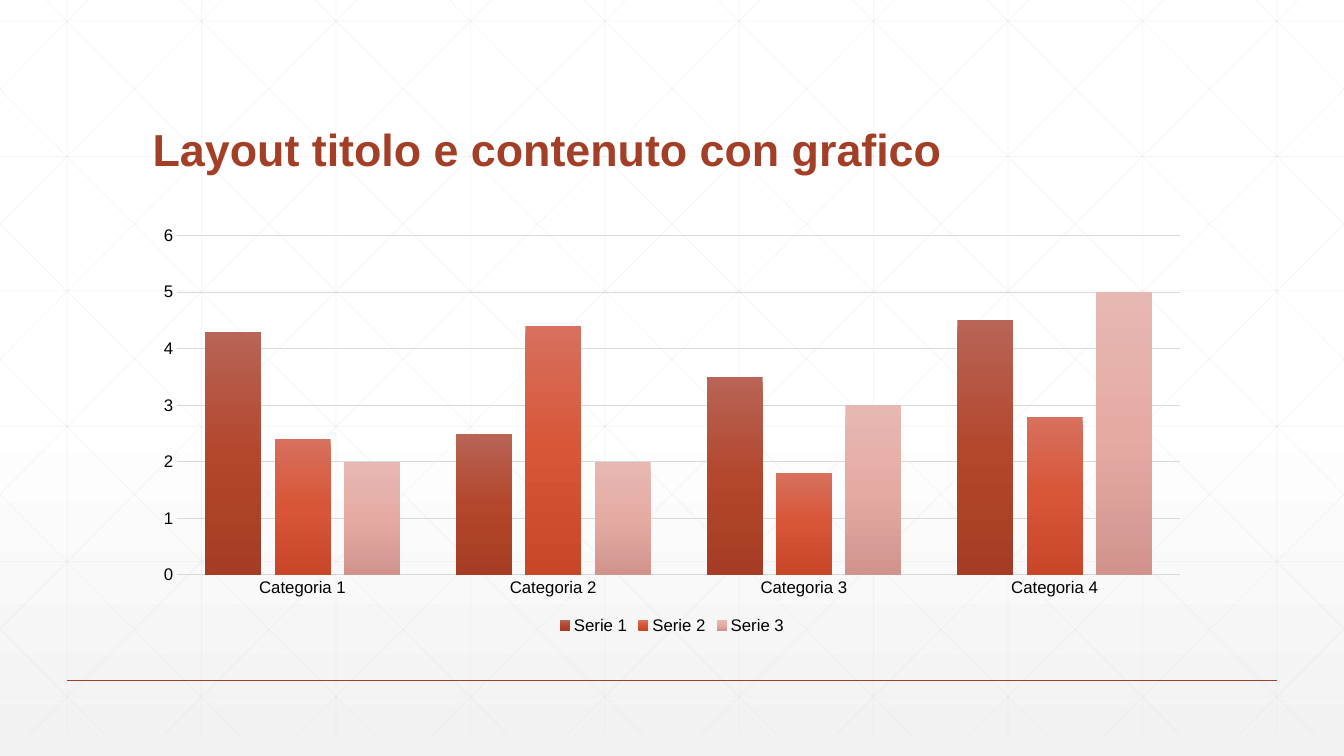
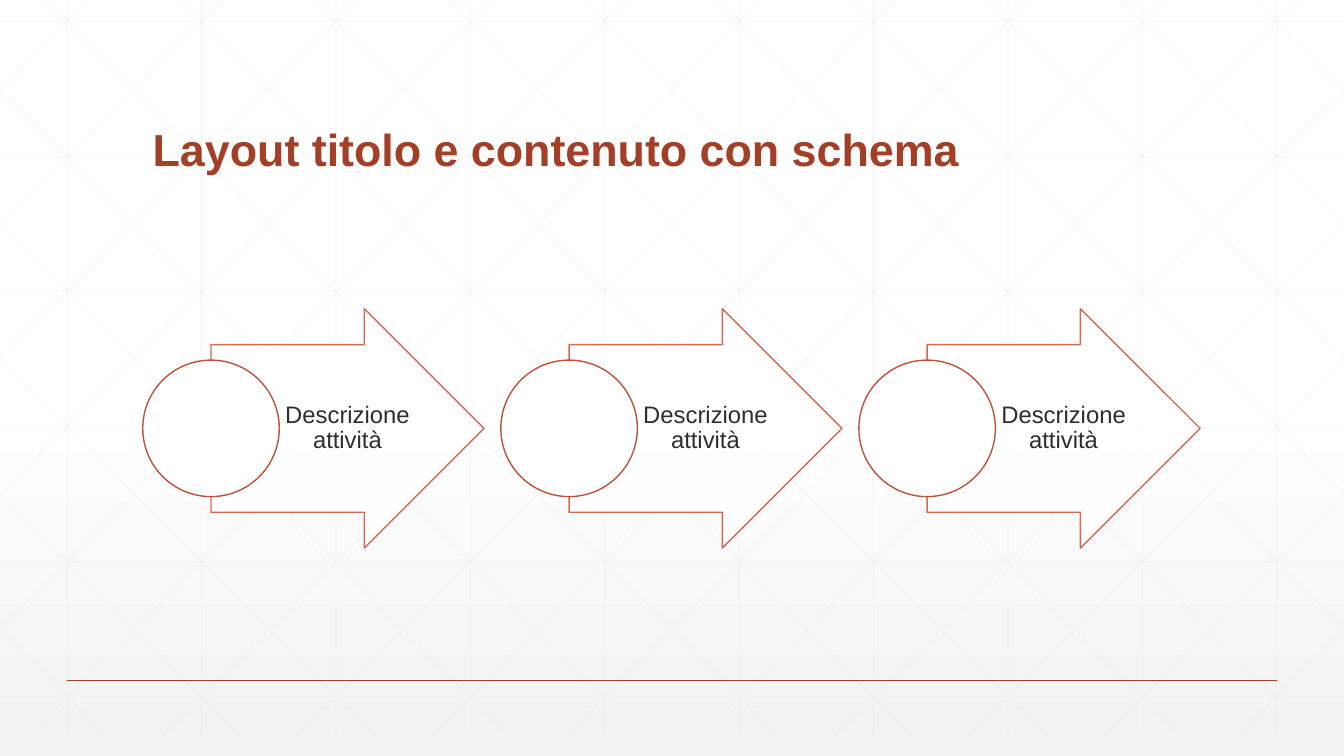
from copy import deepcopy

from pptx import Presentation
from pptx.chart.data import CategoryChartData
from pptx.dml.color import RGBColor
from pptx.enum.chart import XL_CHART_TYPE as ChartType
from pptx.enum.chart import XL_LEGEND_POSITION as LegendPosition
from pptx.enum.chart import XL_TICK_MARK as TickMark
from pptx.enum.shapes import MSO_CONNECTOR as Connector
from pptx.enum.shapes import MSO_SHAPE as Shape
from pptx.enum.text import MSO_ANCHOR as Anchor
from pptx.enum.text import PP_ALIGN as Align
from pptx.oxml.ns import qn
from pptx.util import Pt

EMU_PER_PX = 9525
WIDTH, HEIGHT = 1280, 720


def px(*lengths):
    return [length * EMU_PER_PX for length in lengths]


def paint(color_format, color):
    color_format.rgb = RGBColor.from_string(color)


class SlideBuilder:
    FONT = "Arial"
    ACCENT = "A43F27"
    INK = "2D2E2D"
    WHITE = "FFFFFF"
    BLACK = "000000"
    RULE = "D9D9D9"
    ARROW_LINE = "D15A3E"
    CIRCLE_LINE = "BE5238"
    GRID_STEP, GRID_TOP, GRID_BOTTOM = 128, -20, 700
    DIAGONAL_START, DIAGONAL_RUN = 24, 716

    def __init__(self):
        self.deck = Presentation()
        self.deck.slide_width, self.deck.slide_height = px(WIDTH, HEIGHT)
        self.slide = None
        master = self.deck.slide_master
        self.gradient(master.background.fill, master.element,
                      [(0, self.WHITE), (0.53, self.WHITE), (1, "F2F2F2")])

    def gradient(self, fill, owner, stops):
        fill.gradient()
        fill.gradient_angle = 270
        stop_list = list(owner.iter(qn("a:gsLst")))[-1]
        stop_list.append(deepcopy(stop_list[-1]))
        for stop, (position, color) in zip(fill.gradient_stops, stops):
            stop.position = position
            paint(stop.color, color)

    def opacity(self, shape, percent):
        for color in shape.element.spPr.iter(qn("a:srgbClr")):
            alpha = color.makeelement(qn("a:alpha"), {"val": str(percent * 1000)})
            color.append(alpha)

    def outline(self, line, color, width=1.0):
        paint(line.color, color)
        line.width = Pt(width)

    def style_font(self, font, size, color, bold=False):
        font.name = self.FONT
        font.size = Pt(size)
        font.bold = bold
        paint(font.color, color)

    def line(self, x1, y1, x2, y2, color, width=1.0):
        connector = self.slide.shapes.add_connector(
            Connector.STRAIGHT, *px(x1, y1, x2, y2))
        self.outline(connector.line, color, width)
        properties = connector.element.spPr
        properties.append(properties.makeelement(qn("a:effectLst"), {}))
        return connector

    def grid_line(self, x1, y1, x2, y2):
        self.opacity(self.line(x1, y1, x2, y2, self.RULE, 0.5), 25)

    def diagonals(self, mirrored):
        rise = self.GRID_BOTTOM - self.GRID_TOP
        for column in range(-5, 10):
            start = self.DIAGONAL_START + column * self.GRID_STEP
            left = max(start, 0)
            right = min(start + self.DIAGONAL_RUN, WIDTH)
            top, bottom = (
                self.GRID_TOP + round((x - start) * rise / self.DIAGONAL_RUN)
                for x in (left, right))
            if mirrored:
                left, right = WIDTH - left, WIDTH - right
            self.grid_line(left, top, right, bottom)

    def backdrop(self):
        for x in range(64, WIDTH, self.GRID_STEP):
            self.grid_line(x, self.GRID_TOP, x, self.GRID_BOTTOM)
        for row in range(6):
            y = round(20.2 + row * 128.64)
            self.grid_line(0, y, WIDTH, y)
        for mirrored in (False, True):
            self.diagonals(mirrored)
        self.line(64, 648, 1216, 648, self.ACCENT)

    def text(self, words, place, size, color, bold=False, align=Align.LEFT,
             anchor=Anchor.MIDDLE, insets=None):
        box = self.slide.shapes.add_textbox(*px(*place))
        frame = box.text_frame
        frame.word_wrap = True
        frame.vertical_anchor = anchor
        if insets:
            (frame.margin_left, frame.margin_top,
             frame.margin_right, frame.margin_bottom) = px(*insets)
        para = frame.paragraphs[0]
        para.alignment = align
        para.line_spacing = 0.9
        span = para.add_run()
        span.text = words
        self.style_font(span.font, size, color, bold)

    def new_slide(self, title):
        self.slide = self.deck.slides.add_slide(self.deck.slide_layouts[6])
        self.backdrop()
        self.text(title, (136, 53, 1008, 120), 32, self.ACCENT, bold=True,
                  anchor=Anchor.BOTTOM)

    def shape(self, kind, place, line_color):
        shape = self.slide.shapes.add_shape(kind, *px(*place))
        shape.shadow.inherit = False
        shape.fill.solid()
        paint(shape.fill.fore_color, self.WHITE)
        self.outline(shape.line, line_color)
        return shape

    def step(self, left, words):
        arrow = self.shape(Shape.RIGHT_ARROW, (left + 65, 294, 260, 228),
                           self.ARROW_LINE)
        arrow.adjustments[0], arrow.adjustments[1] = 0.7, 0.5
        self.opacity(arrow, 90)
        self.text(words, (left + 130, 328, 127, 160), 17, self.INK,
                  align=Align.CENTER, insets=(5, 1, 2, 1))
        self.shape(Shape.OVAL, (left, 343, 130, 130), self.CIRCLE_LINE)

    def column_chart(self, place, categories, series_rows):
        data = CategoryChartData()
        data.categories = categories
        for name, values, colors in series_rows:
            data.add_series(name, values)
        chart = self.slide.shapes.add_chart(
            ChartType.COLUMN_CLUSTERED, *px(*place), data).chart
        chart.has_title = False
        self.style_font(chart.font, 12, self.BLACK)
        chart.has_legend = True
        chart.legend.position = LegendPosition.BOTTOM
        chart.legend.include_in_layout = False
        for axis in (chart.category_axis, chart.value_axis):
            axis.major_tick_mark = TickMark.NONE
            axis.minor_tick_mark = TickMark.NONE
        self.outline(chart.category_axis.format.line, self.RULE, 0.75)
        chart.value_axis.format.line.fill.background()
        self.outline(chart.value_axis.major_gridlines.format.line, self.RULE, 0.75)
        plot = chart.plots[0]
        plot.vary_by_categories = False
        plot.gap_width = 100
        plot.overlap = -24
        for series, (name, values, colors) in zip(plot.series, series_rows):
            series.invert_if_negative = False
            self.gradient(series.format.fill, chart.element,
                          list(zip((0, 0.5, 1), colors)))


def main():
    builder = SlideBuilder()

    builder.new_slide("Layout titolo e contenuto con grafico")
    builder.column_chart(
        (136, 208, 1008, 400),
        [f"Categoria {number}" for number in range(1, 5)],
        [("Serie 1", (4.3, 2.5, 3.5, 4.5), ("B86456", "B3472D", "A53C23")),
         ("Serie 2", (2.4, 4.4, 1.8, 2.8), ("D7705D", "D85537", "C84728")),
         ("Serie 3", (2, 2, 3, 5), ("E7B8B2", "E5ABA3", "D0948D"))])

    builder.new_slide("Layout titolo e contenuto con schema")
    for number in range(3):
        builder.step(136 + number * 341, "Descrizione attività")

    builder.deck.save("out.pptx")


if __name__ == "__main__":
    main()
